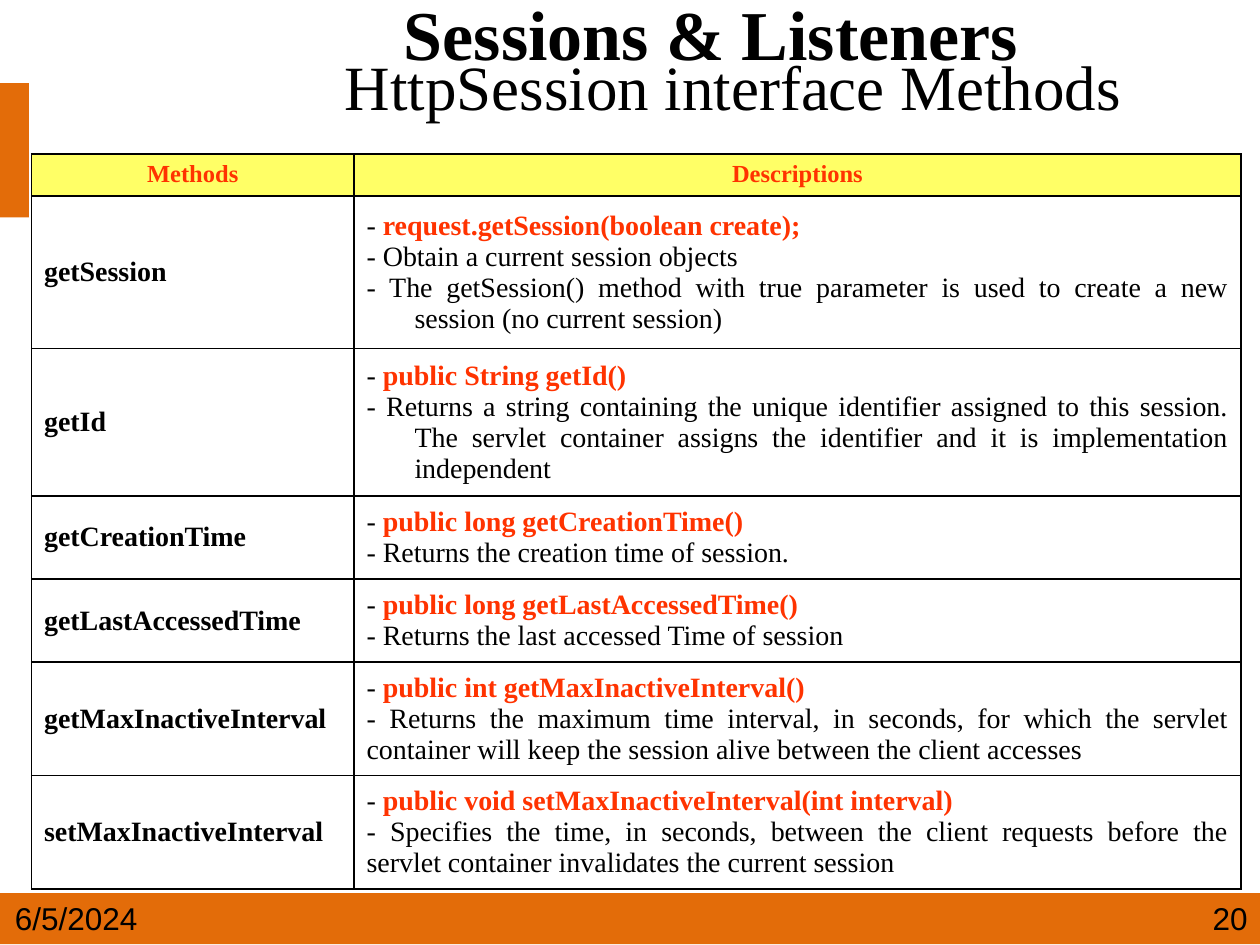
from lxml import etree
from pptx import Presentation
from pptx.dml.color import RGBColor
from pptx.enum import shapes, text
from pptx.oxml import ns
from pptx.util import Inches, Pt

COLORS = {"orange": "E36C09", "yellow": "FFFF66", "red": "FF3300", "black": "000000"}
SERIF, SANS = "Times New Roman", "Arial"
ALIGN = text.PP_ALIGN

presentation = Presentation()
presentation.slide_width, presentation.slide_height = Inches(10), Inches(7.5)
slide = presentation.slides.add_slide(presentation.slide_layouts[6])


def area(left, top, width, height):
    """Turn shares of the slide's size into lengths."""
    across, down = presentation.slide_width, presentation.slide_height
    return int(left * across), int(top * down), int(width * across), int(height * down)


def write(paragraph, words, size=16, font=SERIF, color="black", bold=False, align=None, hanging=0):
    """Add a formatted run to a paragraph."""
    if hanging:
        properties = paragraph._p.get_or_add_pPr()
        properties.set("marL", str(Inches(hanging)))
        properties.set("indent", str(-Inches(hanging)))
    if align is not None:
        paragraph.alignment = align
    run = paragraph.add_run()
    run.text = words
    run.font.size, run.font.name, run.font.bold = Pt(size), font, bold
    run.font.color.rgb = RGBColor.from_string(COLORS[color])


# Orange side mark and footer band
FOOTER_TOP, FOOTER_HEIGHT = 0.945, 0.054
for place in ((0, 0.088, 0.023, 0.142), (0, FOOTER_TOP, 1, FOOTER_HEIGHT)):
    band = slide.shapes.add_shape(shapes.MSO_SHAPE.RECTANGLE, *area(*place))
    band.shadow.inherit = False
    band.fill.solid()
    band.fill.fore_color.rgb = RGBColor.from_string(COLORS["orange"])
    band.line.fill.background()

# Title: two tight lines in one paragraph
title = slide.shapes.add_textbox(*area(0.145, 0, 0.855, 0.153)).text_frame
title.word_wrap = True
title.vertical_anchor = text.MSO_ANCHOR.MIDDLE
paragraph = title.paragraphs[0]
paragraph.line_spacing = 0.45
write(paragraph, "Sessions & Listeners", size=40, bold=True, align=ALIGN.CENTER)
write(paragraph, " ", size=48, bold=True)
paragraph.add_line_break()
write(paragraph, " ", size=54, bold=True)
write(paragraph, "HttpSession interface Methods", size=36)

# Methods table: name, signature, descriptions, hanging indent, row height
METHODS = [
    ("getSession", "request.getSession(boolean create);",
     ["Obtain a current session objects",
      "The getSession() method with true parameter is used to create a new session "
      "(no current session)"], 0.38, 1.21),
    ("getId", "public String getId() ",
     ["Returns a string containing the unique identifier assigned to this session. "
      "The servlet container assigns the identifier and it is implementation independent"],
     0.38, 1.17),
    ("getCreationTime", "public long getCreationTime()",
     ["Returns the creation time of session. "], 0.38, 0.66),
    ("getLastAccessedTime", "public long getLastAccessedTime()",
     ["Returns the last accessed Time of session"], 0, 0.66),
    ("getMaxInactiveInterval", "public int getMaxInactiveInterval()",
     ["Returns the maximum time interval, in seconds, for which the servlet container "
      "will keep the session alive between the client accesses"], 0, 0.9),
    ("setMaxInactiveInterval", "public void setMaxInactiveInterval(int interval)",
     ["Specifies the time, in seconds, between the client requests before the servlet "
      "container invalidates the current session"], 0, 0.9),
]
table = slide.shapes.add_table(len(METHODS) + 1, 2, *area(0.025, 0.163, 0.96, 0.778)).table
for column, width in zip(table.columns, (2.56, 7.04)):
    column.width = Inches(width)
for row, height in zip(table.rows, [0.33] + [method[-1] for method in METHODS]):
    row.height = Inches(height)

# Cell borders, then fills
for index, cell in enumerate(table.iter_cells()):
    properties = cell._tc.get_or_add_tcPr()
    for side in ("lnL", "lnR", "lnT", "lnB"):
        border = etree.SubElement(properties, ns.qn("a:" + side), w=str(Pt(1)))
        fill = etree.SubElement(border, ns.qn("a:solidFill"))
        etree.SubElement(fill, ns.qn("a:srgbClr"), val=COLORS["black"])
    if index < 2:
        cell.fill.solid()
        cell.fill.fore_color.rgb = RGBColor.from_string(COLORS["yellow"])
    else:
        cell.fill.background()
        cell.vertical_anchor = text.MSO_ANCHOR.MIDDLE

# Header row
for column, heading in enumerate(("Methods", "Descriptions")):
    write(table.cell(0, column).text_frame.paragraphs[0], heading, size=14, color="red",
          bold=True, align=ALIGN.CENTER, hanging=0.38)

# Method rows
for row, (name, signature, descriptions, hanging, _) in enumerate(METHODS, start=1):
    write(table.cell(row, 0).text_frame.paragraphs[0], name, bold=True, hanging=hanging)
    frame = table.cell(row, 1).text_frame
    write(frame.paragraphs[0], "- ", align=ALIGN.JUSTIFY, hanging=hanging)
    write(frame.paragraphs[0], signature, color="red", bold=True)
    for description in descriptions:
        write(frame.add_paragraph(), "- " + description, align=ALIGN.JUSTIFY, hanging=hanging)

# Footer date and slide number
for left, width, words, align in ((0.002, 0.152, "6/5/2024", ALIGN.LEFT),
                                  (0.7, 0.3, "20", ALIGN.RIGHT)):
    footer = slide.shapes.add_textbox(*area(left, FOOTER_TOP, width, FOOTER_HEIGHT)).text_frame
    footer.word_wrap = True
    write(footer.paragraphs[0], words, size=18, font=SANS, align=align)

presentation.save("out.pptx")
